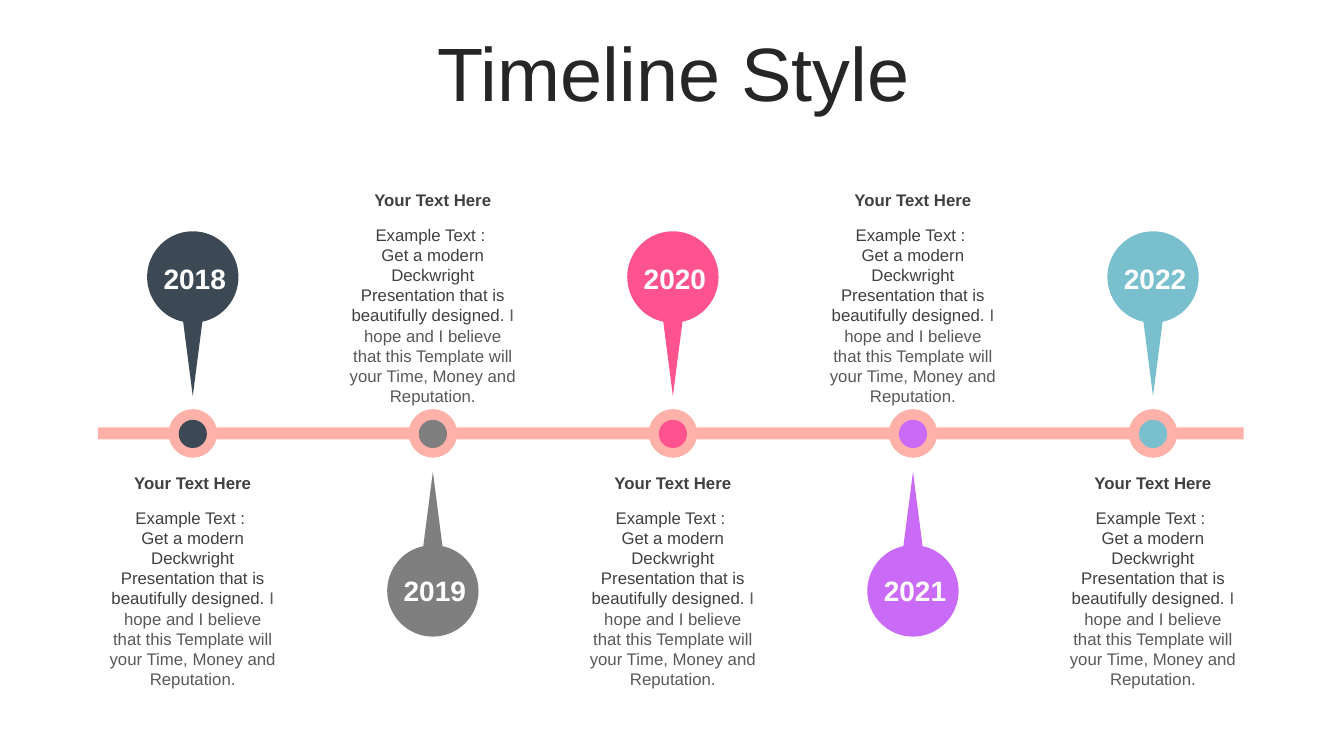
from lxml import etree
from pptx import Presentation
from pptx import util as u
from pptx.dml.color import RGBColor
from pptx.enum import shapes, text
from pptx.oxml import ns

WHITE = RGBColor(0xFF, 0xFF, 0xFF)
TITLE_INK = RGBColor(0x26, 0x26, 0x26)
DARK_INK = RGBColor(0x40, 0x40, 0x40)
SOFT_INK = RGBColor(0x59, 0x59, 0x59)
CORAL = RGBColor(0xFE, 0xB1, 0xA9)
SLATE = RGBColor(0x3C, 0x49, 0x55)
GRAY = RGBColor(0x7F, 0x7F, 0x7F)
PINK = RGBColor(0xFF, 0x53, 0x90)
VIOLET = RGBColor(0xCA, 0x6B, 0xF8)
TEAL = RGBColor(0x79, 0xBF, 0xCD)

MILESTONES = [("2018", SLATE), ("2019", GRAY), ("2020", PINK),
              ("2021", VIOLET), ("2022", TEAL)]
HEADING = "Your Text Here"
LEAD = "Example Text : "
PITCH = "Get a modern Deckwright Presentation that is beautifully designed. "
PROMISE = ("I hope and I believe that this Template will your Time, "
           "Money and Reputation.")

# Grid positions, in cells
FIRST_COLUMN, COLUMN_STEP = 19.12, 23.81
AXIS_ROW = 43
PIN_RADIUS = 4.53
NOTE_WIDTH = 18.6

# Pin outline in radii from the centre of its head: each step is an end
# point, with two control points before it where the step is a curve
PIN_START = (0, -1)
PIN_STEPS = [
    [(0.55, -1), (1, -0.55), (1, 0)],
    [(1, 0.48), (0.66, 0.89), (0.21, 0.98)],
    [(0, 2.61)],
    [(-0.21, 0.98)],
    [(-0.66, 0.89), (-1, 0.48), (-1, 0)],
    [(-1, -0.55), (-0.55, -1), PIN_START],
]


class TimelineSlide:
    """Draws on a grid of square cells, ten to the inch."""
    cell = u.Inches(0.1)
    font_name = "Arial"

    def __init__(self, presentation):
        self.slide = presentation.slides.add_slide(presentation.slide_layouts[6])

    def cells(self, *counts):
        return [round(count * self.cell) for count in counts]

    def paint(self, shape, color):
        shape.shadow.inherit = False
        shape.fill.solid()
        shape.fill.fore_color.rgb = color
        shape.line.fill.background()

    def bar(self, left, top, width, height, color):
        shape = self.slide.shapes.add_shape(
            shapes.MSO_SHAPE.RECTANGLE, *self.cells(left, top, width, height))
        self.paint(shape, color)

    def dot(self, column, row, size, color):
        """Place a circle centred on a grid point."""
        shape = self.slide.shapes.add_shape(
            shapes.MSO_SHAPE.OVAL,
            *self.cells(column - size / 2, row - size / 2, size, size))
        self.paint(shape, color)

    def pin(self, column, top, rotation, color):
        """Draw a round head with a point below it, then turn it."""
        def place(point):
            return self.cells(column + point[0] * PIN_RADIUS,
                              top + (point[1] + 1) * PIN_RADIUS)

        builder = self.slide.shapes.build_freeform(*place(PIN_START))
        builder.add_line_segments([place(step[-1]) for step in PIN_STEPS])
        shape = builder.convert_to_shape()
        lines = list(shape._element.iter(ns.qn("a:lnTo")))
        for line, step in zip(lines, PIN_STEPS):
            if len(step) == 1:
                continue
            curve = etree.Element(ns.qn("a:cubicBezTo"))
            for point in step:
                x, y = place(point)
                etree.SubElement(curve, ns.qn("a:pt"),
                                 x=str(x - shape.left), y=str(y - shape.top))
            line.getparent().replace(line, curve)
        shape.rotation = rotation
        self.paint(shape, color)

    def text(self, left, top, width, height, paragraphs, size, bold=False,
             anchor=text.MSO_ANCHOR.TOP, spacing=None, insets=(0.1, 0.1),
             fit=text.MSO_AUTO_SIZE.SHAPE_TO_FIT_TEXT, group=None):
        """Add centred text; each paragraph is a list of (words, color) runs."""
        parent = group or self.slide
        box = parent.shapes.add_textbox(*self.cells(left, top, width, height))
        frame = box.text_frame
        frame.word_wrap = True
        frame.auto_size = fit
        frame.vertical_anchor = anchor
        frame.margin_left, frame.margin_right = map(u.Inches, insets)
        for index, runs in enumerate(paragraphs):
            paragraph = frame.add_paragraph() if index else frame.paragraphs[0]
            paragraph.alignment = text.PP_ALIGN.CENTER
            paragraph.line_spacing = spacing
            for words, color in runs:
                run = paragraph.add_run()
                run.text = words
                run.font.name = self.font_name
                run.font.size = u.Pt(size)
                run.font.bold = bold
                run.font.color.rgb = color

    def year(self, column, top, label):
        self.text(column - PIN_RADIUS, top, 2 * PIN_RADIUS, 4.4,
                  [[(label, WHITE)]], 20, bold=True, insets=(0.04, 0))

    def note(self, column, top):
        left = column - NOTE_WIDTH / 2
        group = self.slide.shapes.add_group_shape()
        self.text(left, top, NOTE_WIDTH, 3, [[(HEADING, DARK_INK)]], 12,
                  bold=True, group=group)
        self.text(left, top + 3.45, NOTE_WIDTH, 19.2,
                  [[(LEAD, DARK_INK)], [(PITCH, DARK_INK), (PROMISE, SOFT_INK)]],
                  12, group=group)


def main():
    presentation = Presentation()
    presentation.slide_width = u.Inches(13.33)
    presentation.slide_height = u.Inches(7.5)
    timeline = TimelineSlide(presentation)
    timeline.text(3.5, 3.7, 126.6, 7.9, [[("Timeline Style", TITLE_INK)]], 54,
                  anchor=text.MSO_ANCHOR.MIDDLE, spacing=0.9,
                  fit=text.MSO_AUTO_SIZE.NONE)
    timeline.bar(9.7, AXIS_ROW - 0.6, 113.65, 1.2, CORAL)
    columns = [FIRST_COLUMN + index * COLUMN_STEP
               for index in range(len(MILESTONES))]
    for column in columns:
        timeline.dot(column, AXIS_ROW, 4.8, CORAL)
    for index, (column, (label, color)) in enumerate(zip(columns, MILESTONES)):
        pin_above = index % 2 == 0
        pin_top, rotation, year_top, note_top = (
            (22.95, 0, 25.5, 46.4) if pin_above else (46.8, 180, 56.4, 18.33))
        timeline.dot(column, AXIS_ROW + 0.05, 2.8, color)
        timeline.pin(column, pin_top, rotation, color)
        timeline.year(column, year_top, label)
        timeline.note(column, note_top)
    presentation.save("out.pptx")


if __name__ == "__main__":
    main()
